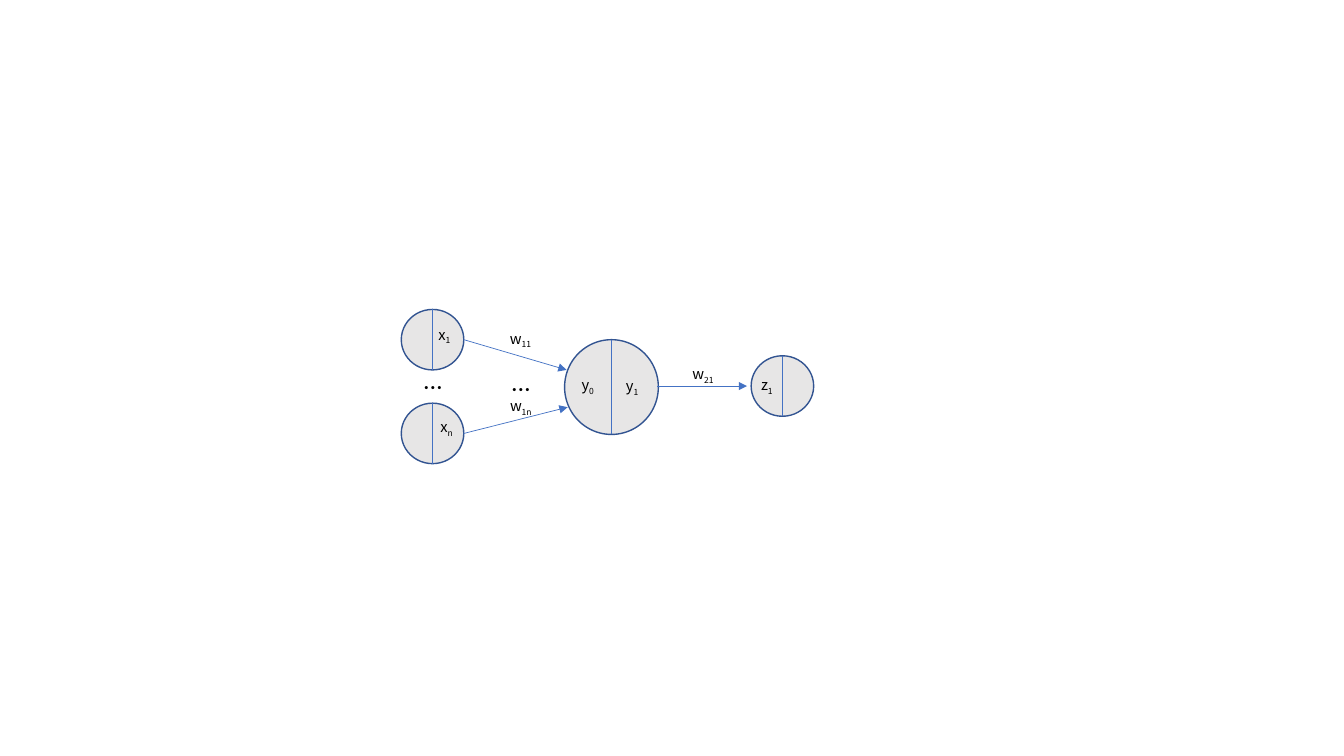
from dataclasses import dataclass

from pptx import Presentation
from pptx import util as u
from pptx.dml.color import RGBColor
from pptx.enum import lang, shapes, text
from pptx.oxml.ns import qn
from pptx.slide import Slide

PX = 9144  # EMU in one px, 100 px to the inch
FONT = "Noto Sans CJK SC"
COLORS = {"neuron": "E7E6E6", "outline": "325491", "link": "4472C4", "ink": "000000"}


@dataclass(frozen=True)
class Neuron:
    left: int
    top: int
    width: int = 62
    height: int = 60


@dataclass(frozen=True)
class Link:
    x1: int
    y1: int
    x2: int
    y2: int
    arrow: bool = True


@dataclass(frozen=True)
class Label:
    left: int
    top: int
    base: str
    sub: str = ""
    width: int = 34
    height: int = 41
    size: float = 10.5
    bold: bool = False


NEURONS = [
    Neuron(560, 337, 93, 94),
    Neuron(398, 307),
    Neuron(398, 400),
    Neuron(745, 353),
]
WEIGHTS = [
    Link(652, 383, 741, 383),
    Link(460, 337, 562, 367),
    Link(460, 430, 563, 404),
]
LABELS = [
    Label(425, 318, "x", "1"),
    Label(427, 410, "x", "n"),
    Label(567, 368, "y", "0"),
    Label(611, 369, "y", "1"),
    Label(745, 368, "z", "1"),
    Label(496, 322, "w", "11", width=43),
    Label(496, 389, "w", "1n", width=49),
    Label(677, 357, "w", "21", width=47),
    Label(410, 368, "…", height=34, size=14, bold=True),
    Label(498, 370, "…", height=34, size=14, bold=True),
]


def px(*lengths: int) -> list[int]:
    return [length * PX for length in lengths]


def color(name: str) -> RGBColor:
    return RGBColor.from_string(COLORS[name])


def draw_link(slide: Slide, link: Link) -> None:
    line = slide.shapes.add_connector(
        shapes.MSO_CONNECTOR.STRAIGHT, *px(link.x1, link.y1, link.x2, link.y2))
    line.line.color.rgb = color("link")
    line.line.width = u.Pt(0.5)
    properties = line._element.spPr
    if link.arrow:
        outline = line.line._get_or_add_ln()
        head = outline.makeelement(qn("a:tailEnd"), {"type": "triangle"})
        outline.append(head)
    properties.append(properties.makeelement(qn("a:effectLst"), {}))


def draw_neuron(slide: Slide, neuron: Neuron) -> None:
    circle = slide.shapes.add_shape(
        shapes.MSO_SHAPE.OVAL,
        *px(neuron.left, neuron.top, neuron.width, neuron.height))
    circle.shadow.inherit = False
    circle.fill.solid()
    circle.fill.fore_color.rgb = color("neuron")
    circle.line.color.rgb = color("outline")
    circle.line.width = u.Pt(1)


def draw_divider(slide: Slide, neuron: Neuron) -> None:
    middle = neuron.left + neuron.width // 2
    bottom = neuron.top + neuron.height
    draw_link(slide, Link(middle, neuron.top, middle, bottom, arrow=False))


def draw_label(slide: Slide, label: Label) -> None:
    box = slide.shapes.add_textbox(
        *px(label.left, label.top, label.width, label.height))
    frame = box.text_frame
    frame.word_wrap = False
    frame.auto_size = text.MSO_AUTO_SIZE.SHAPE_TO_FIT_TEXT
    for part, baseline in ((label.base, 0), (label.sub, -25000)):
        if not part:
            continue
        run = frame.paragraphs[0].add_run()
        run.text = part
        run.font.size = u.Pt(label.size)
        run.font.bold = label.bold
        run.font.color.rgb = color("ink")
        run.font.name = FONT
        run.font.language_id = lang.MSO_LANGUAGE_ID.SIMPLIFIED_CHINESE
        properties = run._r.get_or_add_rPr()
        properties.append(properties.makeelement(qn("a:ea"), {"typeface": FONT}))
        if baseline:
            properties.set("baseline", str(baseline))


def main() -> None:
    deck = Presentation()
    deck.slide_width, deck.slide_height = px(1333, 750)
    slide = deck.slides.add_slide(deck.slide_layouts[6])

    # Neurons and the weighted links between them
    for neuron in NEURONS:
        draw_neuron(slide, neuron)
    for weight in WEIGHTS:
        draw_link(slide, weight)

    # Input and output halves of each neuron
    for neuron in NEURONS:
        draw_divider(slide, neuron)

    # Symbols
    for label in LABELS:
        draw_label(slide, label)

    deck.save("out.pptx")


if __name__ == "__main__":
    main()
